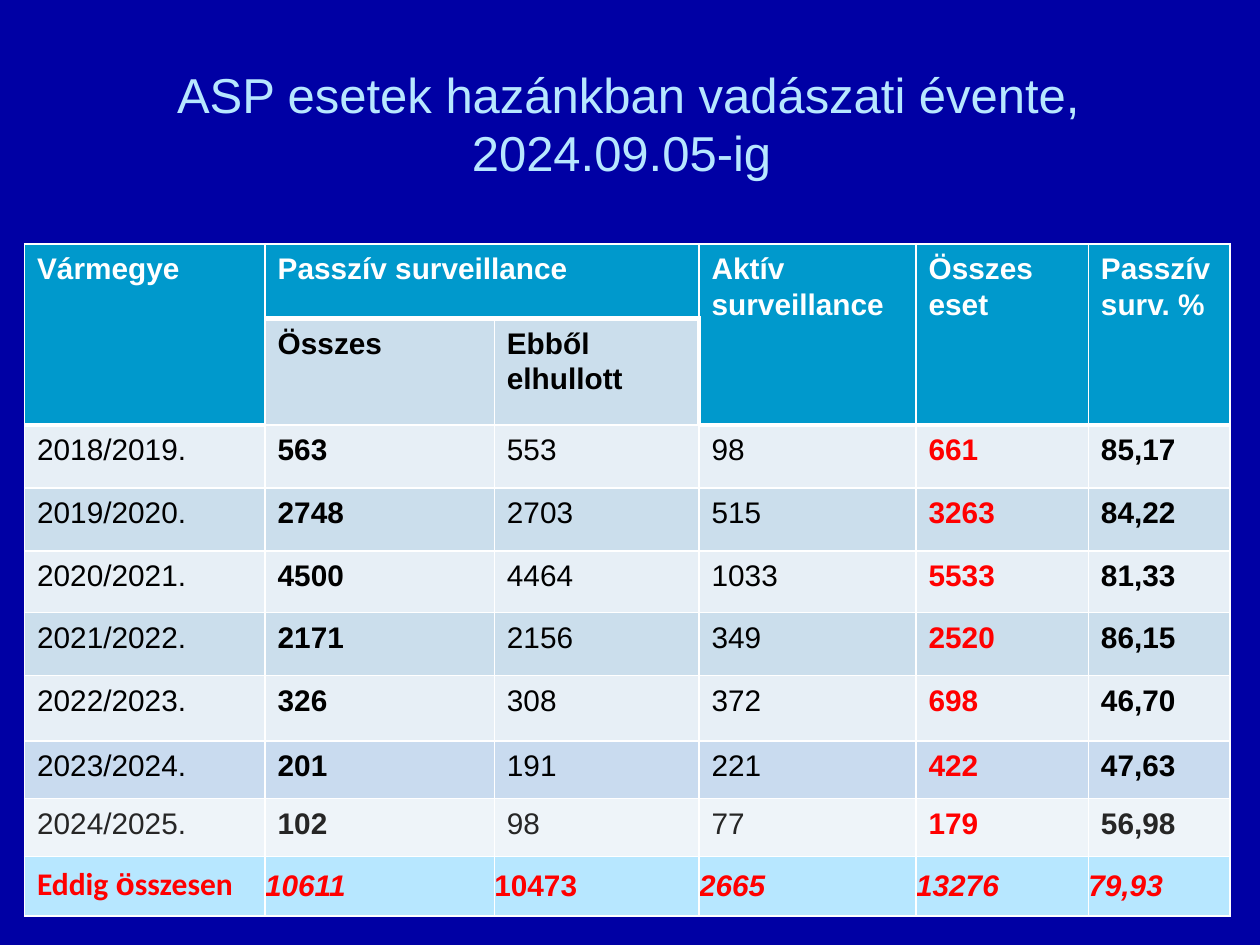
from dataclasses import dataclass
from typing import NamedTuple

from lxml.etree import SubElement
from pptx import Presentation
from pptx.dml.color import RGBColor as RGB
from pptx.enum.text import MSO_ANCHOR as Anchor, PP_ALIGN as Align
from pptx.oxml.ns import qn
from pptx.util import Pt


@dataclass(frozen=True)
class Theme:
    background: str = "0000A4"
    title: str = "B7E7FF"
    header: str = "0099CC"
    light: str = "E7EFF6"
    dark: str = "CBDEEC"
    previous_season: str = "C9DBEF"
    current_season: str = "EEF4F9"
    total: str = "B7E7FF"
    white: str = "FFFFFF"
    black: str = "000000"
    grey: str = "262626"
    red: str = "FF0000"
    font: str = "Arial"
    total_font: str = "Calibri"
    title_size: float = 28
    cell_size: float = 17
    total_label_size: float = 18
    thin: float = 1
    thick: float = 3


class Run(NamedTuple):
    text: str
    color: str
    bold: bool = False
    italic: bool = False
    size: float = Theme.cell_size
    font: str = Theme.font


class Header(NamedTuple):
    row: int
    col: int
    lines: tuple[str, ...]
    rows: int = 1
    cols: int = 1


class Season(NamedTuple):
    values: tuple[str, ...]
    fill: str
    color: str = Theme.black


T = Theme()
COL_WIDTHS = (137.5, 131, 117, 124, 98.5, 81)
ROW_HEIGHTS = (42.5, 61, 36, 36, 35, 36, 37.5, 33, 33, 34)
HEADERS = (
    Header(0, 0, ("Vármegye",), rows=2),
    Header(0, 1, ("Passzív surveillance",), cols=2),
    Header(0, 3, ("Aktív surveillance",), rows=2),
    Header(0, 4, ("Összes eset",), rows=2),
    Header(0, 5, ("Passzív", "surv. %"), rows=2),
    Header(1, 1, ("Összes",)),
    Header(1, 2, ("Ebből elhullott",)),
)
SEASONS = (
    Season(("2018/2019.", "563", "553", "98", "661", "85,17"), T.light),
    Season(("2019/2020.", "2748", "2703", "515", "3263", "84,22"), T.dark),
    Season(("2020/2021.", "4500", "4464", "1033", "5533", "81,33"), T.light),
    Season(("2021/2022.", "2171", "2156", "349", "2520", "86,15"), T.dark),
    Season(("2022/2023.", "326", "308", "372", "698", "46,70"), T.light),
    Season(("2023/2024.", "201", "191", "221", "422", "47,63"), T.previous_season),
    Season(("2024/2025.", "102", "98", "77", "179", "56,98"), T.current_season, T.grey),
)
TOTALS = ("10611", "10473", "2665", "13276", "79,93")
BOLD_COLS = (1, 4, 5)
CASES_COL = 4
SUBHEADER_COLS = (1, 2)


def add_run(p, run: Run) -> None:
    r = p.add_run()
    r.text = run.text
    f = r.font
    f.name, f.size, f.bold, f.italic = run.font, Pt(run.size), run.bold, run.italic
    f.color.rgb = RGB.from_string(run.color)


def thick_sides(row: int, col: int) -> str:
    """Sides of a cell that carry the thick rule around the header block."""
    sub = col in SUBHEADER_COLS
    if row == 0:
        return "B"
    if row == 1:
        return {1: "T", 2: "TR", 3: "LB"}.get(col, "B")
    return "T" if row == 2 and not sub else ""


def draw_borders(cell, thick: str) -> None:
    tc_pr = cell._tc.get_or_add_tcPr()
    for side in "LRTB":
        width = T.thick if side in thick else T.thin
        ln = SubElement(tc_pr, qn(f"a:ln{side}"), w=str(Pt(width)))
        SubElement(SubElement(ln, qn("a:solidFill")), qn("a:srgbClr"), val=T.white)


def fill_cell(cell, color: str) -> None:
    cell.fill.solid()
    cell.fill.fore_color.rgb = RGB.from_string(color)


def write_cell(cell, runs: list[Run], breaks: bool = False) -> None:
    """Write runs in one spaced paragraph, with line breaks between them if asked."""
    p = cell.text_frame.paragraphs[0]
    p.line_spacing, p.space_after = 1.07, Pt(8)
    for i, run in enumerate(runs):
        if breaks and i:
            p.add_line_break()
        add_run(p, run)


def write_total(cell, run: Run) -> None:
    cell.margin_left = cell.margin_right = cell.margin_top = cell.margin_bottom = 0
    cell.vertical_anchor = Anchor.MIDDLE
    add_run(cell.text_frame.paragraphs[0], run)


def add_title(s) -> None:
    tf = s.shapes.add_textbox(Pt(24), Pt(18), Pt(670), Pt(104.5)).text_frame
    tf.word_wrap = True
    tf.vertical_anchor = Anchor.MIDDLE
    p = tf.paragraphs[0]
    p.alignment = Align.CENTER
    add_run(p, Run("ASP esetek hazánkban vadászati évente, 2024.09.05-ig ",
                   T.title, size=T.title_size))


def add_grid(s):
    """Add the empty table with its sizes, borders and header fills."""
    table = s.shapes.add_table(len(ROW_HEIGHTS), len(COL_WIDTHS), Pt(14), Pt(139.5),
                               Pt(sum(COL_WIDTHS)), Pt(sum(ROW_HEIGHTS))).table
    table.first_row = table.horz_banding = False
    for column, width in zip(table.columns, COL_WIDTHS):
        column.width = Pt(width)
    for row, height in zip(table.rows, ROW_HEIGHTS):
        row.height = Pt(height)
    for i in range(len(ROW_HEIGHTS)):
        for j in range(len(COL_WIDTHS)):
            draw_borders(table.cell(i, j), thick_sides(i, j))
            if i < 2:
                sub = i == 1 and j in SUBHEADER_COLS
                fill_cell(table.cell(i, j), T.dark if sub else T.header)
    return table


def fill_table(table) -> None:
    for h in HEADERS:
        cell = table.cell(h.row, h.col)
        if h.rows * h.cols > 1:
            cell.merge(table.cell(h.row + h.rows - 1, h.col + h.cols - 1))
        color = T.black if h.row else T.white
        write_cell(cell, [Run(line, color, bold=True) for line in h.lines], breaks=True)

    for i, season in enumerate(SEASONS, start=2):
        for j, value in enumerate(season.values):
            color = T.red if j == CASES_COL else season.color
            write_cell(table.cell(i, j), [Run(value, color, bold=j in BOLD_COLS)])
            fill_cell(table.cell(i, j), season.fill)

    last = len(ROW_HEIGHTS) - 1
    label = (("Eddig ", T.total_font), ("ö", T.font), ("sszesen", T.total_font))
    write_cell(table.cell(last, 0),
               [Run(text, T.red, True, size=T.total_label_size, font=font)
                for text, font in label])
    for j, value in enumerate(TOTALS, start=1):
        write_total(table.cell(last, j), Run(value, T.red, True, italic=j != 2))
    for j in range(len(COL_WIDTHS)):
        fill_cell(table.cell(last, j), T.total)


def main() -> None:
    prs = Presentation()
    prs.slide_width, prs.slide_height = Pt(720), Pt(540)
    s = prs.slides.add_slide(prs.slide_layouts[6])
    s.background.fill.solid()
    s.background.fill.fore_color.rgb = RGB.from_string(T.background)
    add_title(s)
    fill_table(add_grid(s))
    prs.save("out.pptx")


if __name__ == "__main__":
    main()
